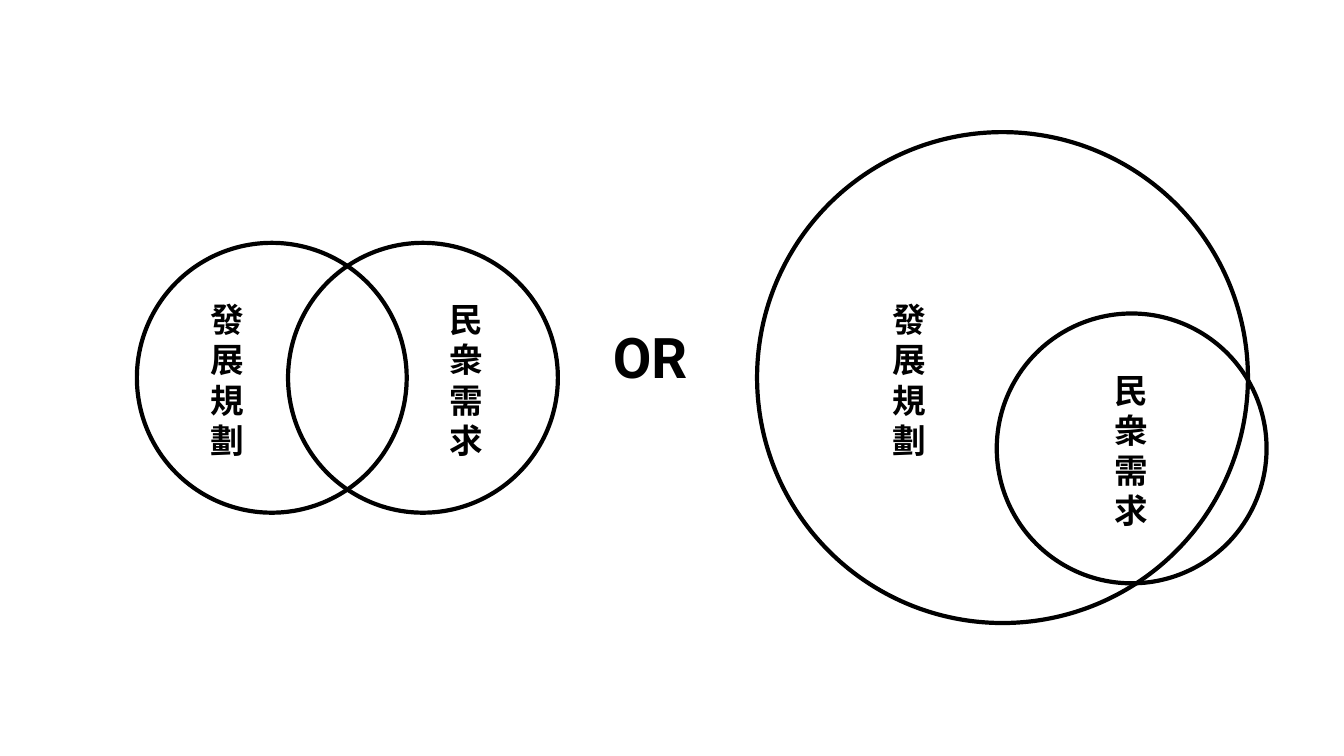
"""Build a slide contrasting two ways that planning and public need can overlap."""
from lxml import etree
from pptx import Presentation
from pptx.dml.color import RGBColor
from pptx.enum.shapes import MSO_SHAPE
from pptx.enum.text import MSO_ANCHOR, MSO_AUTO_SIZE, PP_ALIGN
from pptx.oxml.ns import qn
from pptx.util import Cm, Pt

ELLIPSE = MSO_SHAPE.OVAL
TOP = MSO_ANCHOR.TOP
CENTER = PP_ALIGN.CENTER
NO_FIT, GROW = MSO_AUTO_SIZE.NONE, MSO_AUTO_SIZE.SHAPE_TO_FIT_TEXT
BLACK = "000000"
SMALL, LARGE = 6.8, 12.37
PLANNING = ["發", "展", "規", "劃"]
NEEDS = ["民衆需求"]


def color(value):
    """Turn a hex string into a colour."""
    return RGBColor.from_string(value)


def add_text(shapes, lines, left, top, width, height, *, font, size, spacing,
             after=0, inset_top=0.33, fit=NO_FIT):
    """Add centred bold text with one paragraph for each line."""
    box = shapes.add_textbox(Cm(left), Cm(top), Cm(width), Cm(height))
    frame = box.text_frame
    frame.word_wrap = True
    frame.auto_size = fit
    frame.vertical_anchor = TOP
    frame.margin_left = frame.margin_right = frame.margin_bottom = Cm(0.33)
    frame.margin_top = Cm(inset_top)
    for index, line in enumerate(lines):
        para = frame.add_paragraph() if index else frame.paragraphs[0]
        para.alignment = CENTER
        para.line_spacing = spacing
        para.space_after = Pt(after)
        span = para.add_run()
        span.text = line
        span.font.name = font
        span.font.size = Pt(size)
        span.font.bold = True
        span.font.color.rgb = color(BLACK)
        east_asian = etree.SubElement(span.font._element, qn("a:ea"))
        east_asian.set("typeface", font)


deck = Presentation()
deck.slide_width, deck.slide_height = Cm(33.87), Cm(19.05)
page = deck.slides.add_slide(deck.slide_layouts[6])
page.background.fill.solid()
page.background.fill.fore_color.rgb = color("FFFFFF")

diagrams = [
    ([(3.45, 6.12, SMALL), (7.26, 6.12, SMALL)],
     [(PLANNING, 4.75, 7.14), (NEEDS, 10.77, 7.14)]),
    ([(25.12, 7.9, SMALL), (19.08, 3.33, LARGE)],
     [(PLANNING, 21.92, 7.14), (NEEDS, 27.53, 8.92)]),
]
for circles, labels in diagrams:
    group = page.shapes.add_group_shape()
    for left, top, diameter in circles:
        circle = group.shapes.add_shape(
            ELLIPSE, Cm(left), Cm(top), Cm(diameter), Cm(diameter))
        circle.shadow.inherit = False
        circle.fill.background()
        circle.line.color.rgb = color(BLACK)
        circle.line.width = Pt(3)
    for lines, left, top in labels:
        add_text(group.shapes, lines, left, top, 1.98, 4.78,
                 font="Noto Sans CJK TC", size=24, spacing=Pt(28.6),
                 inset_top=0.41, fit=GROW)

add_text(page.shapes, ["OR"], 9.7, 7.98, 13.36, 3.38,
         font="Roboto", size=40, spacing=0.9, after=16)

deck.save("out.pptx")
